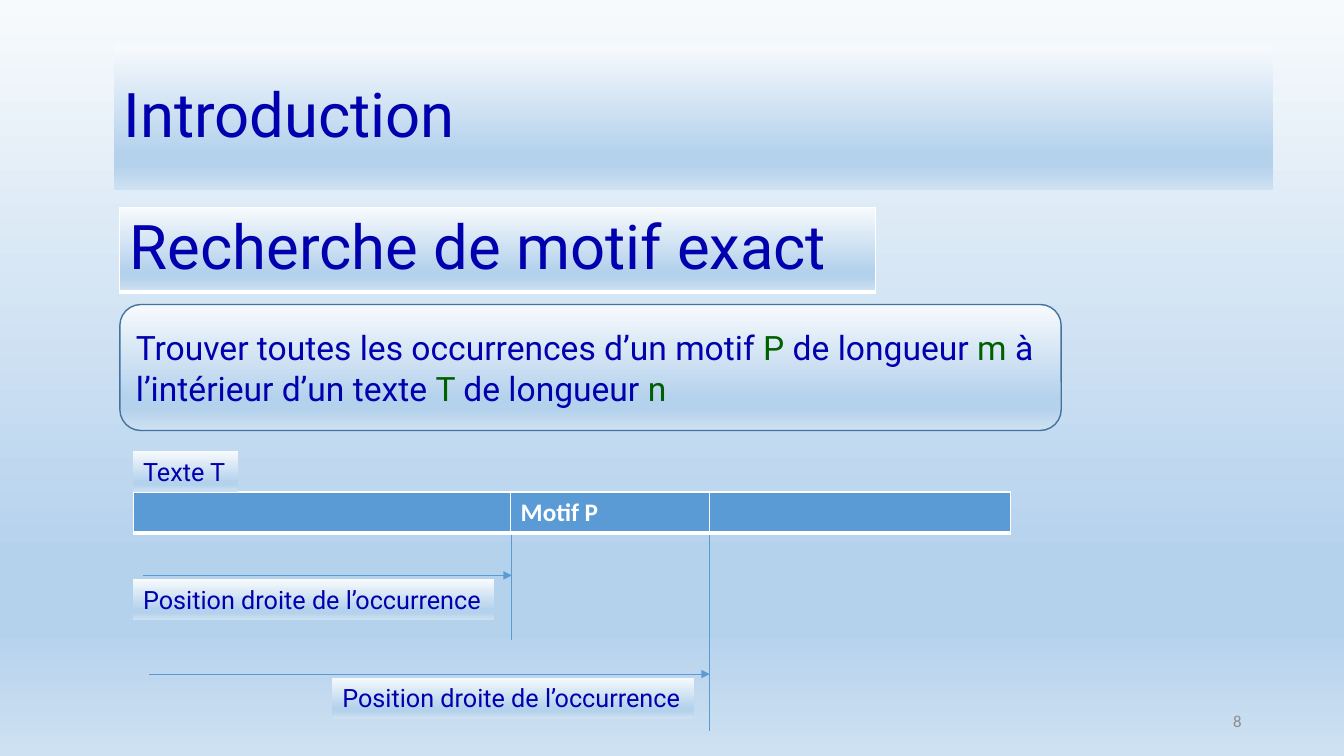
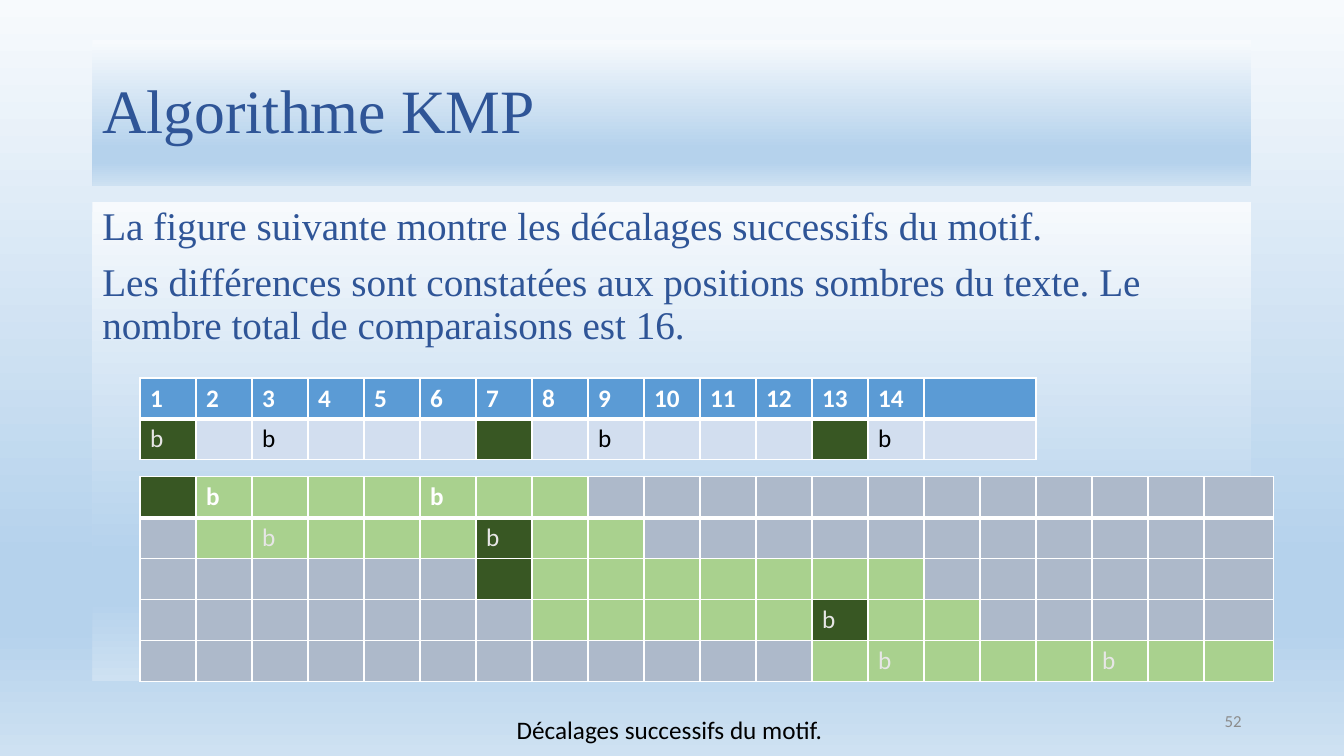
from dataclasses import dataclass

from lxml import etree
from pptx import Presentation
from pptx.dml.color import RGBColor
from pptx.enum import shapes, text
from pptx.oxml.ns import qn
from pptx.util import Pt

NAVY = RGBColor(0x00, 0x00, 0xAF)
SLATE = RGBColor(0x2F, 0x55, 0x97)
GREEN = RGBColor(0x00, 0x60, 0x00)
BLUE = RGBColor(0x5B, 0x9B, 0xD5)
OUTLINE = RGBColor(0x43, 0x73, 0x9E)
PALE = RGBColor(0xD2, 0xDE, 0xEF)
DARK = RGBColor(0x38, 0x57, 0x23)
LIGHT_GREEN = RGBColor(0xA9, 0xD1, 0x8E)
GREY_BLUE = RGBColor(0xAD, 0xB9, 0xCA)
GREY = RGBColor(0x8C, 0x8C, 0x8C)
LIGHT = RGBColor(0xE7, 0xE6, 0xE6)
WHITE = RGBColor(0xFF, 0xFF, 0xFF)
BLACK = RGBColor(0x00, 0x00, 0x00)
GRADIENT = [
    (0, RGBColor(0xF7, 0xFA, 0xFD)),
    (74, RGBColor(0xB5, 0xD2, 0xEC)),
    (83, RGBColor(0xB5, 0xD2, 0xEC)),
    (100, RGBColor(0xCE, 0xE1, 0xF2)),
]

ROBOTO, TIMES, CALIBRI = "Roboto", "Times New Roman", "Calibri"
ROW = 29.2
COLUMN = 40
PATTERN_LENGTH = 8


@dataclass
class Style:
    font: str
    size: float
    color: RGBColor
    bold: bool = False


@dataclass
class Cell:
    """A table cell; without a fill colour it takes the gradient."""
    content: str = ""
    fill: RGBColor | None = None
    style: Style | None = None


HEADER = Style(CALIBRI, 18, WHITE, True)
LETTER = Style(CALIBRI, 18, LIGHT)
PLAIN = Style(CALIBRI, 18, BLACK)
LABEL = Style(ROBOTO, 18, NAVY)
HEADLINE = Style(ROBOTO, 44, NAVY)


def paint_gradient(fill, element):
    fill.gradient()
    fill.gradient_angle = 270
    stops = next(element.iter(qn("a:gsLst")))
    for stop in list(stops):
        stops.remove(stop)
    for position, color in GRADIENT:
        stop = etree.SubElement(stops, qn("a:gs"), pos=str(position * 1000))
        etree.SubElement(stop, qn("a:srgbClr"), val=str(color))


def set_font(font, style):
    font.name, font.size = style.font, Pt(style.size)
    font.color.rgb, font.bold = style.color, style.bold


def set_borders(cell, top, bottom):
    properties = cell._tc.get_or_add_tcPr()
    for side, width in (("L", 1), ("R", 1), ("T", top), ("B", bottom)):
        line = etree.SubElement(properties, qn(f"a:ln{side}"), w=str(Pt(width)))
        fill = etree.SubElement(line, qn("a:solidFill"))
        etree.SubElement(fill, qn("a:srgbClr"), val=str(WHITE))


class Deck:
    def __init__(self):
        self.presentation = Presentation()
        self.presentation.slide_width = Pt(960)
        self.presentation.slide_height = Pt(540)
        self.slide = None

    def new_slide(self, number):
        self.slide = self.presentation.slides.add_slide(
            self.presentation.slide_layouts[6])
        paint_gradient(self.slide.background.fill, self.slide.element)
        self.text_box(678, 500.4, 216, 28.8, str(number), Style(CALIBRI, 12, GREY),
                      anchor=text.MSO_ANCHOR.MIDDLE, align=text.PP_ALIGN.RIGHT)

    def fill_text(self, frame, paragraphs, style, anchor, align=text.PP_ALIGN.LEFT,
                  wrap=True, line_spacing=None, gap=0):
        """Fill a frame; a paragraph is a string or a list of (string, colour)."""
        frame.word_wrap = wrap
        frame.vertical_anchor = anchor
        for index, content in enumerate(paragraphs):
            paragraph = frame.paragraphs[0] if index == 0 else frame.add_paragraph()
            paragraph.alignment = align
            if line_spacing:
                paragraph.line_spacing = line_spacing
            if index and gap:
                paragraph.space_before = Pt(gap)
            set_font(paragraph.font, style)
            if isinstance(content, str):
                content = [(content, None)]
            for words, color in content:
                run = paragraph.add_run()
                run.text = words
                if color is not None:
                    run.font.color.rgb = color

    def text_box(self, left, top, width, height, words, style,
                 anchor=text.MSO_ANCHOR.TOP, **options):
        box = self.slide.shapes.add_textbox(Pt(left), Pt(top), Pt(width), Pt(height))
        self.fill_text(box.text_frame, [words], style, anchor, **options)

    def panel(self, left, top, width, height, paragraphs, style,
              anchor=text.MSO_ANCHOR.TOP, outline=None,
              preset=shapes.MSO_SHAPE.RECTANGLE, **options):
        """Gradient-filled shape with text."""
        shape = self.slide.shapes.add_shape(
            preset, Pt(left), Pt(top), Pt(width), Pt(height))
        shape.shadow.inherit = False
        paint_gradient(shape.fill, shape.element)
        if outline is None:
            shape.line.fill.background()
        else:
            shape.line.color.rgb = outline
            shape.line.width = Pt(1)
        self.fill_text(shape.text_frame, paragraphs, style, anchor, **options)

    def title(self, left, top, words, style):
        self.panel(left, top, 828, 104.4, [words], style,
                   text.MSO_ANCHOR.MIDDLE, line_spacing=0.9)

    def label(self, left, top, width, words):
        self.panel(left, top, width, 29, [words], LABEL, wrap=False)

    def line(self, x1, y1, x2, y2, arrow=False):
        connector = self.slide.shapes.add_connector(
            shapes.MSO_CONNECTOR.STRAIGHT, Pt(x1), Pt(y1), Pt(x2), Pt(y2))
        connector.line.color.rgb = BLUE
        connector.line.width = Pt(0.5)
        properties = connector.element.spPr
        if arrow:
            etree.SubElement(properties.find(qn("a:ln")), qn("a:tailEnd"),
                             type="triangle")
        etree.SubElement(properties, qn("a:effectLst"))

    def table(self, left, top, widths, rows, row_height=ROW):
        """Table whose first row has a thick rule below it."""
        table = self.slide.shapes.add_table(
            len(rows), len(widths), Pt(left), Pt(top),
            Pt(sum(widths)), Pt(row_height * len(rows))).table
        table.first_row = table.horz_banding = False
        for column, width in zip(table.columns, widths):
            column.width = Pt(width)
        for r, row in enumerate(rows):
            table.rows[r].height = Pt(row_height)
            for c, content in enumerate(row):
                cell = table.cell(r, c)
                set_borders(cell, 3 if r == 1 else 1, 3 if r == 0 else 1)
                if content.fill is None:
                    paint_gradient(cell.fill, cell._tc)
                else:
                    cell.fill.solid()
                    cell.fill.fore_color.rgb = content.fill
                paragraph = cell.text_frame.paragraphs[0]
                if content.content:
                    paragraph.add_run().text = content.content
                set_font(paragraph.font, content.style or PLAIN)


def introduction(deck):
    deck.new_slide(8)
    deck.title(81.3, 31.7, "Introduction", HEADLINE)

    motif_left, motif_right = 365.6, 507
    deck.line(motif_left, 366.5, motif_left, 457)
    deck.line(102.5, 411, motif_left, 411, arrow=True)
    deck.line(motif_right, 351.4, motif_right, 522)
    deck.line(106.5, 481.5, motif_right, 481.5, arrow=True)
    deck.table(95.2, 351.4, [269.6, 142.2, 215],
               [[Cell(words, BLUE, HEADER) for words in ("", "Motif P", "")]])

    for left, top in ((237.5, 484), (95.2, 413.8)):
        deck.label(left, top, 258, "Position droite de l’occurrence")
    deck.label(95.2, 322.4, 75, "Texte T")

    deck.panel(85.6, 217.5, 672.4, 90, [
        [("Trouver toutes les occurrences d’un motif ", None), ("P ", GREEN),
         ("de longueur ", None), ("m ", GREEN), ("à", None)],
        [("l’intérieur d’un texte ", None), ("T ", GREEN),
         ("de longueur ", None), ("n", GREEN)],
    ], Style(ROBOTO, 24, NAVY), text.MSO_ANCHOR.MIDDLE, OUTLINE,
        shapes.MSO_SHAPE.ROUNDED_RECTANGLE)
    deck.table(85.6, 148.3, [540],
               [[Cell("Recherche de motif exact", style=HEADLINE)]], 60)


def text_rows():
    """Positions of the text, with its mismatches dark."""
    mismatches, letters = (1, 7, 13), (1, 3, 9, 14)
    header = [Cell(str(n) if n < 15 else "", BLUE, HEADER) for n in range(1, 16)]
    body = [Cell("b" if n in letters else "",
                 DARK if n in mismatches else PALE,
                 LETTER if n in mismatches else PLAIN) for n in range(1, 16)]
    return [header, body]


def shift_rows():
    """One row per shift: start of the pattern, mismatch, letters shown."""
    shifts = [(1, 1, (2, 6)), (2, 7, (3, 7)), (7, 7, ()),
              (8, 13, (13,)), (13, None, (14, 18))]
    rows = []
    for start, mismatch, letters in shifts:
        row = []
        for n in range(1, 21):
            inside = start <= n < start + PATTERN_LENGTH
            fill = DARK if n == mismatch else LIGHT_GREEN if inside else GREY_BLUE
            row.append(Cell("b" if n in letters else "", fill,
                            LETTER if rows else HEADER))
        rows.append(row)
    return rows


def kmp(deck):
    deck.new_slide(52)
    deck.title(66, 28.8, "Algorithme KMP", Style(TIMES, 44, SLATE))
    deck.panel(66, 144, 828, 342.7, [
        "La figure suivante montre les décalages successifs du motif.",
        "Les différences sont constatées aux positions sombres du texte. "
        "Le nombre total de comparaisons est 16.",
    ], Style(TIMES, 28, SLATE), line_spacing=0.9, gap=10)
    deck.table(100, 270, [COLUMN] * 14 + [80], text_rows())
    deck.table(100, 340.6, [COLUMN] * 19 + [50], shift_rows())
    deck.text_box(362, 506.5, 235.5, 29, "Décalages successifs du motif.",
                  PLAIN, wrap=False)


def main():
    deck = Deck()
    introduction(deck)
    kmp(deck)
    deck.presentation.save("out.pptx")


if __name__ == "__main__":
    main()
